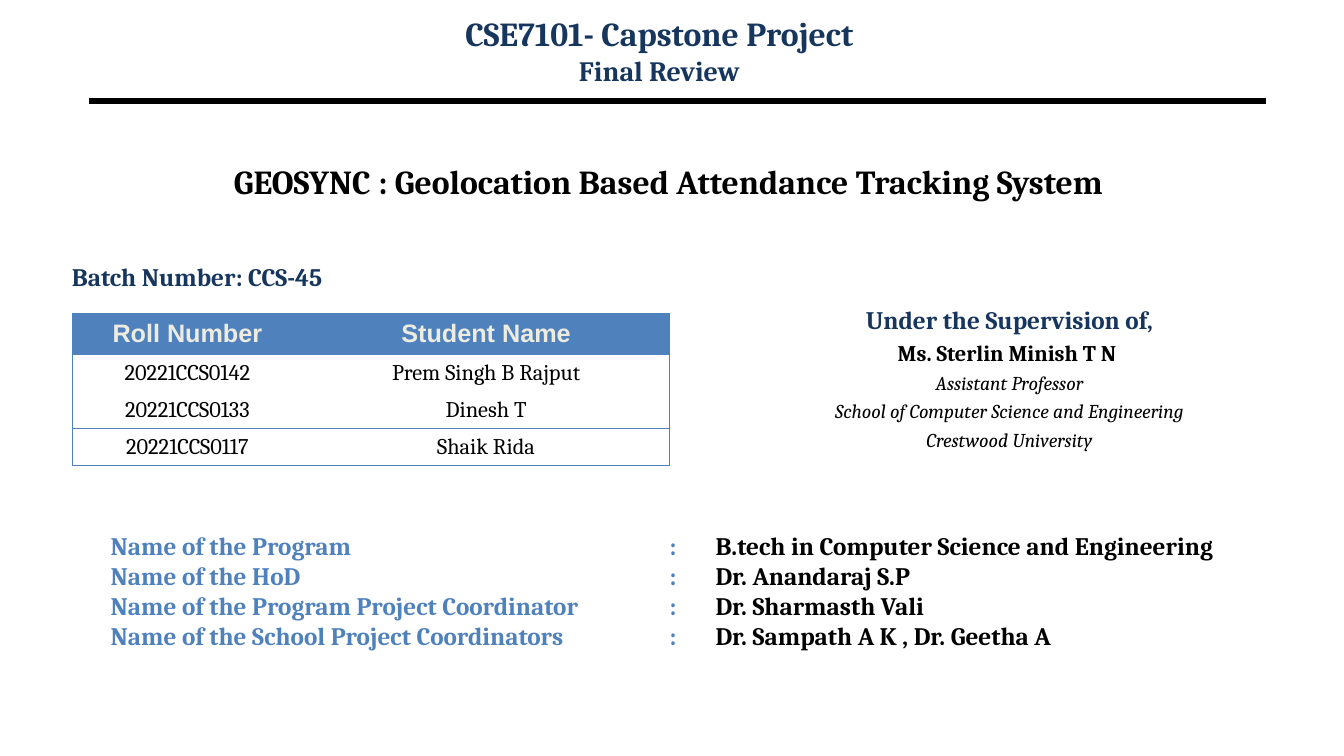
from dataclasses import dataclass

from lxml import etree
from pptx import Presentation
from pptx import util as u
from pptx.dml.color import RGBColor
from pptx.enum import shapes, text
from pptx.oxml import ns

PX = 9525  # EMU per px, 96 px to the inch
NAVY = RGBColor(0x17, 0x36, 0x5D)
BLUE = RGBColor(0x4F, 0x81, 0xBD)
CREAM = RGBColor(0xEE, 0xEC, 0xE1)
BLACK = RGBColor(0, 0, 0)
CENTER = text.PP_ALIGN.CENTER
LEFT = text.PP_ALIGN.LEFT
MIDDLE = text.MSO_ANCHOR.MIDDLE
TOP = text.MSO_ANCHOR.TOP


@dataclass
class Run:
    text: str
    size: int
    color: RGBColor = BLACK
    bold: bool = True
    italic: bool = False
    font: str = "Cambria"


@dataclass
class Para:
    runs: list[Run]
    align: int = CENTER
    before: float = 0
    tabs: tuple[int, ...] = ()


@dataclass
class Box:
    x: int
    y: int
    w: int
    h: int
    paras: list[Para]
    anchor: int = TOP


def px(n: int) -> u.Emu:
    return u.Emu(n * PX)


def para(content: str, size: int, *, align: int = CENTER, before: float = 0, **fmt) -> Para:
    return Para([Run(content, size, **fmt)], align, before)


def write(tf, paras: list[Para]) -> None:
    for i, item in enumerate(paras):
        p = tf.add_paragraph() if i else tf.paragraphs[0]
        p.alignment = item.align
        p.space_before = u.Pt(item.before)
        if item.tabs:
            stops = etree.SubElement(p._p.get_or_add_pPr(), ns.qn("a:tabLst"))
            for pos in item.tabs:
                etree.SubElement(stops, ns.qn("a:tab"), pos=str(px(pos)), algn="l")
        for run in item.runs:
            r = p.add_run()
            r.text = run.text
            f = r.font
            f.name, f.size = run.font, u.Pt(run.size)
            f.bold, f.italic = run.bold, run.italic
            f.color.rgb = run.color


def add_box(s, box: Box) -> None:
    sp = s.shapes.add_textbox(px(box.x), px(box.y), px(box.w), px(box.h))
    tf = sp.text_frame
    tf.word_wrap = True
    tf.vertical_anchor = box.anchor
    write(tf, box.paras)


def add_rule(s, x1: int, x2: int, y: int) -> None:
    ln = s.shapes.add_connector(shapes.MSO_CONNECTOR.STRAIGHT, px(x1), px(y), px(x2), px(y))
    ln.line.color.rgb = BLACK
    ln.line.width = u.Pt(4.5)
    etree.SubElement(ln._element.spPr, ns.qn("a:effectLst"))


def set_borders(cell, sides: str) -> None:
    """Draw the named sides (of L, R, T, B) and clear the others."""
    tc_pr = cell._tc.get_or_add_tcPr()
    for side in "LRTB":
        ln = etree.SubElement(tc_pr, ns.qn(f"a:ln{side}"), w=str(u.Pt(0.75)))
        if side in sides:
            fill = etree.SubElement(ln, ns.qn("a:solidFill"))
            etree.SubElement(fill, ns.qn("a:srgbClr"), val=str(BLUE))
        else:
            etree.SubElement(ln, ns.qn("a:noFill"))


def add_students(s, x: int, y: int, widths: list[int], heights: list[int],
                 rows: list[tuple[str, str]], ruled: set[int]) -> None:
    """Add the student table; a line runs above and below each boundary in ruled."""
    frame = s.shapes.add_table(len(rows), len(widths), px(x), px(y), px(sum(widths)), px(sum(heights)))
    tbl = frame.table
    tbl.first_row = tbl.horz_banding = False
    for col, w in zip(tbl.columns, widths):
        col.width = px(w)
    for i, (row, h) in enumerate(zip(rows, heights)):
        tbl.rows[i].height = px(h)
        for j, value in enumerate(row):
            cell = tbl.cell(i, j)
            cell.vertical_anchor = MIDDLE
            set_borders(cell, "LR"[j] + "T" * (i in ruled) + "B" * (i + 1 in ruled))
            if i == 0:
                cell.fill.solid()
                cell.fill.fore_color.rgb = BLUE
                item = para(value, 18, color=CREAM, font="Arial")
            else:
                cell.fill.background()
                item = para(value, 16, bold=False)
            write(cell.text_frame, [item])


STUDENTS = [
    ("Roll Number", "Student Name"),
    ("20221CCS0142", "Prem Singh B Rajput"),
    ("20221CCS0133", "Dinesh T"),
    ("20221CCS0117", "Shaik Rida"),
]
DETAILS = [
    ("Name of the Program", "B.tech in Computer Science and Engineering"),
    ("Name of the HoD", "Dr. Anandaraj S.P"),
    ("Name of the Program Project Coordinator", "Dr. Sharmasth Vali"),
    ("Name of the School Project Coordinators", "Dr. Sampath A K , Dr. Geetha A"),
]
SUPERVISOR = ["Assistant Professor", "School of Computer Science and Engineering",
              "Crestwood University"]

BOXES = [
    # Course heading
    Box(59, 8, 1138, 77, [para("CSE7101- Capstone Project", 24, color=NAVY),
                          para("Final Review", 20, color=NAVY)]),
    # Project title
    Box(96, 134, 1088, 77, [para("GEOSYNC : Geolocation Based Attendance Tracking System ", 24)], MIDDLE),
    # Batch
    Box(59, 244, 461, 58, [para("Batch Number: CCS-45", 18, color=NAVY, align=LEFT)]),
    # Supervisor
    Box(672, 285, 579, 151, [
        para("Under the Supervision of,", 18, color=NAVY),
        para("Ms. Sterlin Minish T N ", 16, before=3.4),
        *(para(line, 14, before=3.4, bold=False, italic=True) for line in SUPERVISOR),
    ]),
    # Programme details, in tabbed columns
    Box(96, 500, 1088, 164, [
        Para([Run(f"{label}\t:\t", 18, BLUE), Run(value, 18)], LEFT, tabs=(532, 576))
        for label, value in DETAILS
    ]),
]


def main() -> None:
    prs = Presentation()
    prs.slide_width, prs.slide_height = px(1280), px(720)
    s = prs.slides.add_slide(prs.slide_layouts[6])
    add_rule(s, 85, 1206, 96)
    for box in BOXES:
        add_box(s, box)
    add_students(s, 69, 299, [219, 350], [37, 34, 34, 34], STUDENTS, ruled={0, 1, 3, 4})
    prs.save("out.pptx")


if __name__ == "__main__":
    main()
